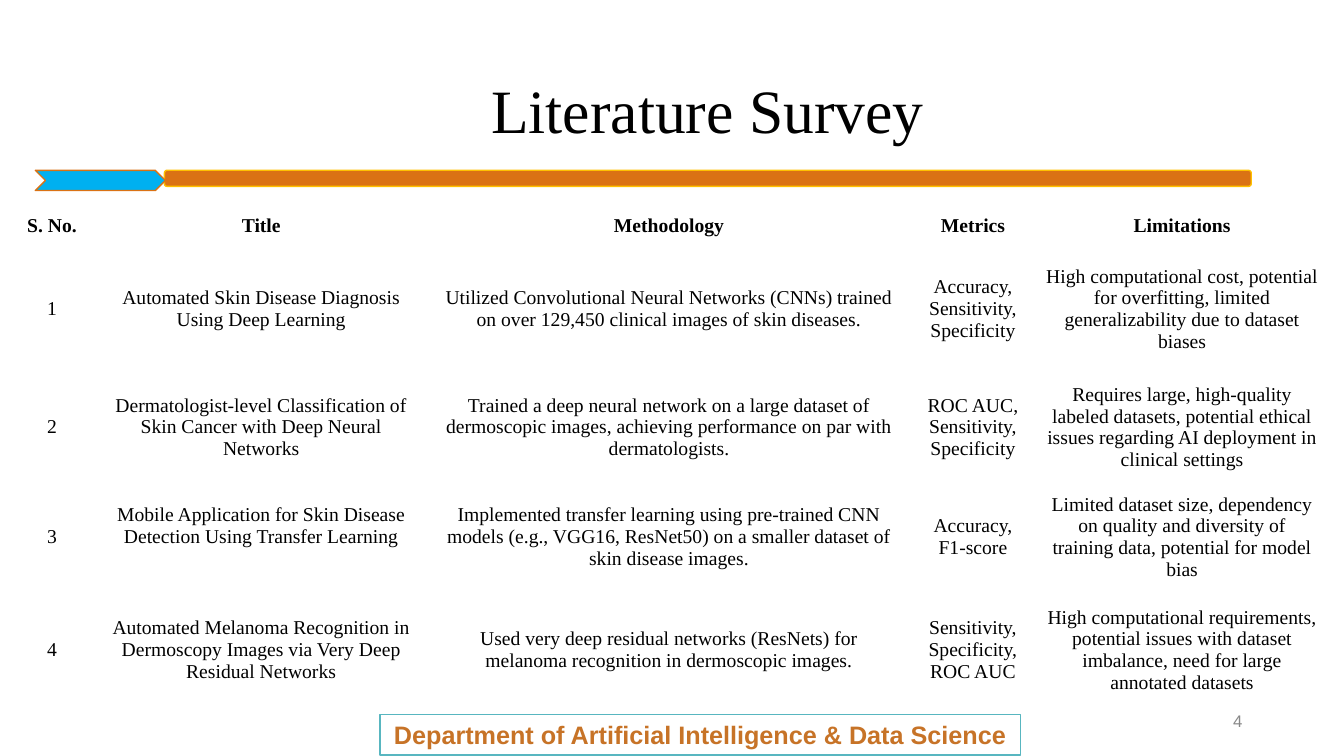
from dataclasses import dataclass
from typing import NamedTuple

from pptx import Presentation
from pptx import util as u
from pptx.dml.color import RGBColor
from pptx.enum import shapes, text


@dataclass(frozen=True)
class Theme:
    serif: str = "Times New Roman"
    sans: str = "Arial"
    black: str = "000000"
    white: str = "FFFFFF"
    grey: str = "888888"
    orange: str = "DA7214"
    gold: str = "FFC000"
    blue: str = "00B0F0"
    teal: str = "58B6C0"
    rust: str = "C77327"
    title_size: int = 44
    footer_size: int = 18
    table_size: int = 14
    number_size: int = 12


class Area(NamedTuple):
    """Left, top, width and height in percent of the slide."""
    left: float
    top: float
    width: float
    height: float


class Style(NamedTuple):
    font: str
    size: int
    color: str
    bold: bool = False
    align: text.PP_ALIGN = text.PP_ALIGN.CENTER


@dataclass(frozen=True)
class Block:
    kind: shapes.MSO_SHAPE
    area: Area
    fill: str
    line: str
    corner: float | None = None


@dataclass(frozen=True)
class Label:
    words: str
    area: Area
    style: Style
    spacing: float = 1.0


class Study(NamedTuple):
    title: str
    methodology: str
    metrics: str
    limitations: str


THEME = Theme()
WIDTH, HEIGHT = u.Inches(13.333), u.Inches(7.5)
HEADING = Style(THEME.serif, THEME.table_size, THEME.black, bold=True)
BODY = HEADING._replace(bold=False)

BLOCKS = [
    Block(shapes.MSO_SHAPE.ROUNDED_RECTANGLE, Area(12.23, 22.53, 80.87, 2.13),
          THEME.orange, THEME.gold, corner=0.167),
    Block(shapes.MSO_SHAPE.CHEVRON, Area(2.63, 22.53, 9.68, 2.67),
          THEME.blue, THEME.orange, corner=0.5),
]
LABELS = [
    Label("4", Area(70.67, 92.67, 22.51, 5.33),
          Style(THEME.sans, THEME.number_size, THEME.grey, align=text.PP_ALIGN.RIGHT)),
    Label("Literature Survey", Area(12.23, 5.33, 80.87, 19.33),
          Style(THEME.serif, THEME.title_size, THEME.black), spacing=0.9),
]
FOOTER = Block(shapes.MSO_SHAPE.RECTANGLE, Area(28.28, 94.53, 47.64, 5.33),
               THEME.white, THEME.teal)
FOOTER_WORDS = "Department of Artificial Intelligence & Data Science"
FOOTER_STYLE = Style(THEME.sans, THEME.footer_size, THEME.rust, bold=True)

TABLE_AREA = Area(0.68, 27.07, 98.2, 66)
COLUMN_SHARES = [6.38, 24.76, 35.93, 9.3, 21.83]
ROW_SHARES = [5.73, 16.13, 15.2, 12.8, 16.13]
HEADERS = ("S. No.", "Title", "Methodology", "Metrics", "Limitations")
STUDIES = [
    Study("Automated Skin Disease Diagnosis Using Deep Learning",
          "Utilized Convolutional Neural Networks (CNNs) trained on over 129,450 "
          "clinical images of skin diseases.",
          "Accuracy, Sensitivity, Specificity",
          "High computational cost, potential for overfitting, limited "
          "generalizability due to dataset biases"),
    Study("Dermatologist-level Classification of Skin Cancer with Deep Neural Networks",
          "Trained a deep neural network on a large dataset of dermoscopic images, "
          "achieving performance on par with dermatologists.",
          "ROC AUC, Sensitivity, Specificity",
          "Requires large, high-quality labeled datasets, potential ethical issues "
          "regarding AI deployment in clinical settings"),
    Study("Mobile Application for Skin Disease Detection Using Transfer Learning",
          "Implemented transfer learning using pre-trained CNN models (e.g., VGG16, "
          "ResNet50) on a smaller dataset of skin disease images.",
          "Accuracy, F1-score",
          "Limited dataset size, dependency on quality and diversity of training "
          "data, potential for model bias"),
    Study("Automated Melanoma Recognition in Dermoscopy Images via Very Deep "
          "Residual Networks",
          "Used very deep residual networks (ResNets) for melanoma recognition in "
          "dermoscopic images.",
          "Sensitivity, Specificity, ROC AUC",
          "High computational requirements, potential issues with dataset "
          "imbalance, need for large annotated datasets"),
]
RAISED_CELL = (3, 1)


def across(share: float) -> int:
    return round(WIDTH * share / 100)


def down(share: float) -> int:
    return round(HEIGHT * share / 100)


def place(area: Area) -> tuple[int, int, int, int]:
    return across(area.left), down(area.top), across(area.width), down(area.height)


def write(frame, words: str, style: Style, spacing: float = 1.0) -> None:
    frame.word_wrap = True
    para = frame.paragraphs[0]
    para.text = words
    para.alignment = style.align
    para.line_spacing = spacing
    para.font.name = style.font
    para.font.size = u.Pt(style.size)
    para.font.bold = style.bold
    para.font.color.rgb = RGBColor.from_string(style.color)


def draw_block(page, block: Block):
    shape = page.shapes.add_shape(block.kind, *place(block.area))
    shape.shadow.inherit = False
    shape.fill.solid()
    shape.fill.fore_color.rgb = RGBColor.from_string(block.fill)
    shape.line.color.rgb = RGBColor.from_string(block.line)
    shape.line.width = u.Pt(1)
    if block.corner is not None:
        shape.adjustments[0] = block.corner
    return shape


def draw_label(page, label: Label) -> None:
    box = page.shapes.add_textbox(*place(label.area))
    box.text_frame.vertical_anchor = text.MSO_ANCHOR.MIDDLE
    write(box.text_frame, label.words, label.style, label.spacing)


def draw_survey(page) -> None:
    rows = [HEADERS, *((str(n), *study) for n, study in enumerate(STUDIES, 1))]
    table = page.shapes.add_table(len(rows), len(HEADERS), *place(TABLE_AREA)).table
    table.first_row = table.horz_banding = False
    for column, share in zip(table.columns, COLUMN_SHARES):
        column.width = across(share)
    for row, share in zip(table.rows, ROW_SHARES):
        row.height = down(share)
    for r, row in enumerate(rows):
        for c, words in enumerate(row):
            cell = table.cell(r, c)
            cell.fill.background()
            cell.vertical_anchor = text.MSO_ANCHOR.MIDDLE
            write(cell.text_frame, words, BODY if r else HEADING)
    table.cell(*RAISED_CELL).margin_bottom = down(3.5)


def main() -> None:
    deck = Presentation()
    deck.slide_width, deck.slide_height = WIDTH, HEIGHT
    page = deck.slides.add_slide(deck.slide_layouts[6])
    for block in BLOCKS:
        draw_block(page, block)
    for label in LABELS:
        draw_label(page, label)
    footer = draw_block(page, FOOTER)
    footer.text_frame.vertical_anchor = text.MSO_ANCHOR.MIDDLE
    write(footer.text_frame, FOOTER_WORDS, FOOTER_STYLE)
    draw_survey(page)
    deck.save("out.pptx")


if __name__ == "__main__":
    main()
